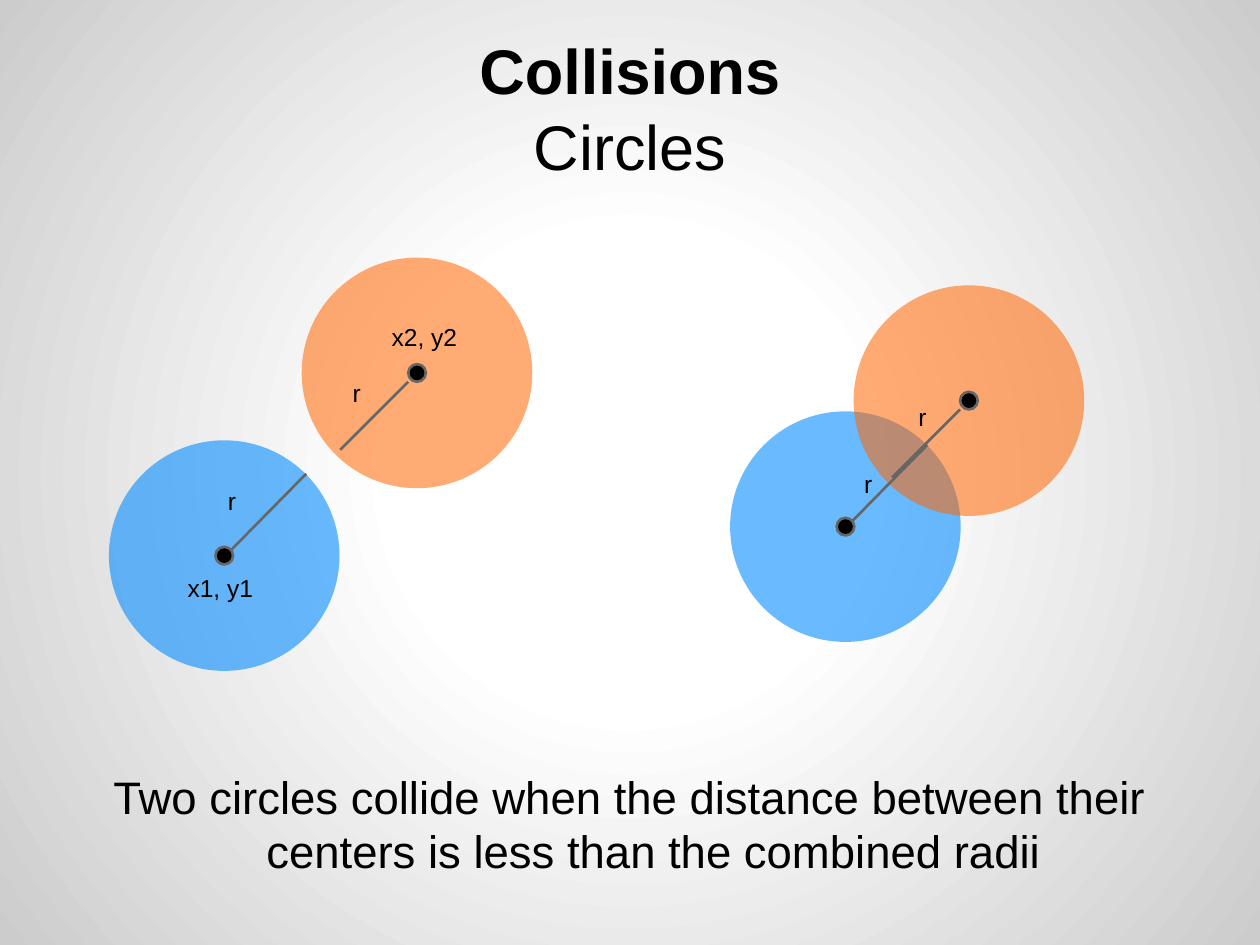
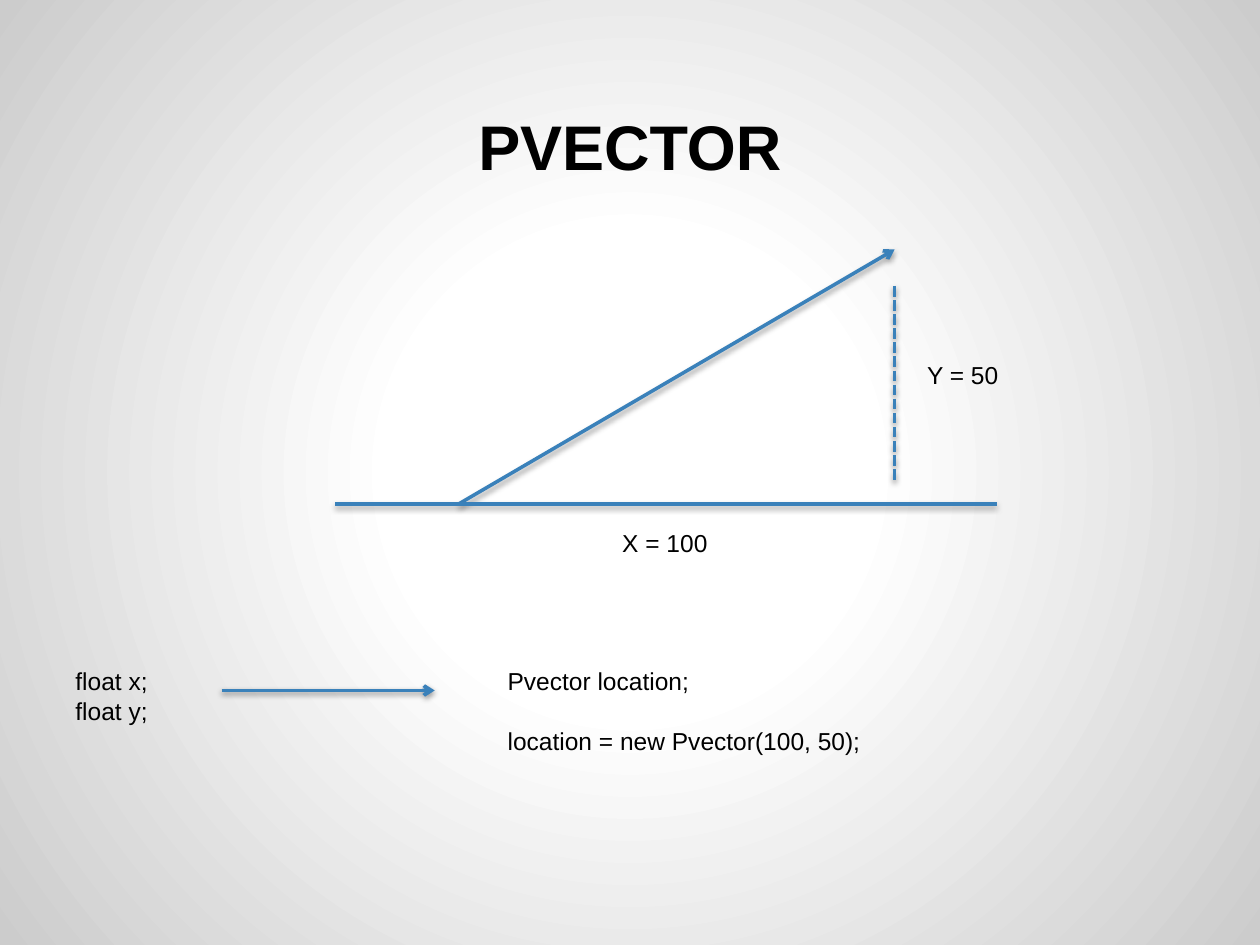
from dataclasses import dataclass, field

from lxml import etree
from pptx import Presentation
from pptx.dml.color import RGBColor
from pptx.enum import dml, shapes, text
from pptx.oxml import parse_xml
from pptx.oxml.ns import nsdecls, qn
from pptx import util as u

COLORS = {
    "ink": "000000", "blue": "058CFF", "orange": "FF6600",
    "gray": "666666", "vector": "3A81BA",
    "center": "FFFFFF", "edge": "CCCCCC",
}
FONT = "Arial"
SLIDE_WIDTH, SLIDE_HEIGHT = u.Inches(10), u.Inches(7.5)
COLUMNS, ROWS = 100, 75
TITLE_AREA = (5, 3, 90, 12.5)
BODY_AREA = (5, 60, 90, 12.6)
DISC_SIZE, DOT_SIZE = 18.3, 1.4


@dataclass
class Label:
    """Text in a grid area; each line is a paragraph."""
    area: tuple[float, float, float, float]
    lines: list[str]
    size: int = 14
    frame: dict = field(default_factory=dict)
    paragraph: dict = field(default_factory=dict)
    bold: bool = False


@dataclass
class Stroke:
    start: tuple[float, float]
    end: tuple[float, float]
    color: str = "vector"
    width: float = 2
    arrow: bool = False
    dashed: bool = False
    shadow: bool = True


@dataclass
class Circle:
    """A disc with a marked center and a radius between two offsets."""
    center: tuple[float, float]
    color: str
    alpha: int
    radius: tuple[tuple[float, float], tuple[float, float]]


def blue_circle(x: float, y: float) -> Circle:
    return Circle((x, y), "blue", 60, ((0.5, -0.4), (6.5, -6.5)))


def orange_circle(x: float, y: float) -> Circle:
    return Circle((x, y), "orange", 55, ((-6.1, 6.1), (-0.7, 0.7)))


CIRCLE_PAIRS = [
    (blue_circle(17.8, 44.1), orange_circle(33.1, 29.6)),
    (blue_circle(67.1, 41.8), orange_circle(76.9, 31.8)),
]
RADIUS_LABELS = [(17.1, 37.6), (27, 29), (67.6, 36.2), (71.9, 30.9)]
CENTER_LABELS = [("x1, y1", 13.9, 44.5), ("x2, y2", 30.1, 24.6)]

VECTOR_STROKES = [
    Stroke((36.4, 40), (71, 19.8), arrow=True),
    Stroke((26.6, 40), (79.1, 40)),
    Stroke((71, 22.7), (71, 38.1), dashed=True),
    Stroke((17.6, 54.8), (34.5, 54.8), arrow=True),
]
EVEN_INSETS = {"margin_top": u.Inches(0.1), "margin_bottom": u.Inches(0.1)}
CODE_FRAME = {"word_wrap": False, "auto_size": text.MSO_AUTO_SIZE.SHAPE_TO_FIT_TEXT}
VECTOR_LABELS = [
    Label((48.4, 41.4, 16.6, 3.4), ["X = 100"]),
    Label((72.6, 28.1, 16.6, 3.4), ["Y = 50"]),
    Label((5, 52.4, 7.8, 5.7), ["float x;", "float y;"], frame=CODE_FRAME),
    Label((39.3, 52.4, 30.9, 8.1),
          ["Pvector location;", "location = new Pvector(100, 50);"],
          frame=CODE_FRAME, paragraph={"space_after": u.Pt(17)}),
]


def rgb(name: str) -> RGBColor:
    return RGBColor.from_string(COLORS[name])


def grid_x(column: float) -> int:
    return round(SLIDE_WIDTH * column / COLUMNS)


def grid_y(row: float) -> int:
    return round(SLIDE_HEIGHT * row / ROWS)


def place(left: float, top: float, width: float, height: float) -> tuple:
    return grid_x(left), grid_y(top), grid_x(width), grid_y(height)


def apply_values(target, values: dict) -> None:
    for name, value in values.items():
        setattr(target, name, value)


def set_background(master) -> None:
    """Give every slide the radial gradient, white up to 30 percent."""
    master.background.fill.gradient()
    gradient = master.element.find(".//" + qn("a:gradFill"))
    stops = "".join(
        f'<a:gs pos="{share * 1000}"><a:srgbClr val="{COLORS[name]}"/></a:gs>'
        for share, name in ((0, "center"), (30, "center"), (100, "edge")))
    gradient.getparent().replace(gradient, parse_xml(
        f'<a:gradFill {nsdecls("a")} rotWithShape="1"><a:gsLst>{stops}</a:gsLst>'
        '<a:path path="circle"><a:fillToRect l="50000" t="50000" r="50000" b="50000"/>'
        '</a:path></a:gradFill>'))


def add_label(page, label: Label):
    box = page.shapes.add_textbox(*place(*label.area))
    frame = box.text_frame
    apply_values(frame, {"word_wrap": True, **label.frame})
    for index, line in enumerate(label.lines):
        para = frame.add_paragraph() if index else frame.paragraphs[0]
        if index < len(label.lines) - 1 or len(label.lines) == 1:
            apply_values(para, label.paragraph)
        add_span(para, line, label.size, label.bold)
    return box


def add_span(para, words: str, size: int, bold: bool = False) -> None:
    span = para.add_run()
    span.text = words
    apply_values(span.font, {"name": FONT, "size": u.Pt(size), "bold": bold})
    span.font.color.rgb = rgb("ink")


def add_title(page, title: str, subtitle: str = "") -> None:
    box = add_label(page, Label(
        TITLE_AREA, [title], 36, bold=True,
        frame={**EVEN_INSETS, "vertical_anchor": text.MSO_ANCHOR.BOTTOM},
        paragraph={"alignment": text.PP_ALIGN.CENTER}))
    if subtitle:
        para = box.text_frame.paragraphs[0]
        para.add_line_break()
        add_span(para, subtitle, 36)


def add_stroke(page, stroke: Stroke) -> None:
    (x1, y1), (x2, y2) = stroke.start, stroke.end
    connector = page.shapes.add_connector(
        shapes.MSO_CONNECTOR.STRAIGHT, grid_x(x1), grid_y(y1), grid_x(x2), grid_y(y2))
    connector.line.color.rgb = rgb(stroke.color)
    connector.line.width = u.Pt(stroke.width)
    if stroke.dashed:
        connector.line.dash_style = dml.MSO_LINE.SQUARE_DOT
    properties = connector.element.spPr
    if stroke.arrow:
        etree.SubElement(properties.find(qn("a:ln")), qn("a:tailEnd"), type="arrow")
    shadow = (
        '<a:outerShdw blurRad="40000" dist="20000" dir="5400000" rotWithShape="0">'
        f'<a:srgbClr val="{COLORS["ink"]}"><a:alpha val="38000"/></a:srgbClr>'
        '</a:outerShdw>') if stroke.shadow else ""
    properties.append(parse_xml(
        f'<a:effectLst {nsdecls("a")}>{shadow}</a:effectLst>'))


def add_ellipse(page, center: tuple[float, float], size: float, color: str):
    x, y = center
    ellipse = page.shapes.add_shape(
        shapes.MSO_SHAPE.OVAL, *place(x - size / 2, y - size / 2, size, size))
    ellipse.shadow.inherit = False
    ellipse.fill.solid()
    ellipse.fill.fore_color.rgb = rgb(color)
    return ellipse


def add_disc(page, circle: Circle) -> None:
    disc = add_ellipse(page, circle.center, DISC_SIZE, circle.color)
    disc.line.fill.background()
    color = disc.element.spPr.find(".//" + qn("a:srgbClr"))
    etree.SubElement(color, qn("a:alpha"), val=str(circle.alpha * 1000))


def add_dot(page, circle: Circle) -> None:
    dot = add_ellipse(page, circle.center, DOT_SIZE, "ink")
    dot.line.color.rgb = rgb("gray")
    dot.line.width = u.Pt(1.5)


def add_radius(page, circle: Circle) -> None:
    x, y = circle.center
    start, end = ((x + dx, y + dy) for dx, dy in circle.radius)
    add_stroke(page, Stroke(start, end, "gray", 1.5, shadow=False))


def build_collisions(page) -> None:
    add_title(page, "Collisions", "Circles")
    body = add_label(page, Label(
        BODY_AREA,
        ["Two circles collide when the distance between their centers "
         "is less than the combined radii"],
        26, EVEN_INSETS, {"alignment": text.PP_ALIGN.CENTER}))
    hanging = u.Inches(0.38)
    settings = body.text_frame.paragraphs[0]._p.get_or_add_pPr()
    settings.set("marL", str(hanging))
    settings.set("indent", str(-hanging))
    for pair in CIRCLE_PAIRS:
        for add_part in (add_disc, add_dot, add_radius):
            for circle in pair:
                add_part(page, circle)
    for left, top in RADIUS_LABELS:
        add_label(page, Label((left, top, 3.2, 4.4), ["r"], frame=EVEN_INSETS))
    for words, left, top in CENTER_LABELS:
        add_label(page, Label((left, top, 7.7, 4.4), [words], frame=EVEN_INSETS))


def build_vector(page) -> None:
    add_title(page, "PVECTOR")
    for stroke in VECTOR_STROKES:
        add_stroke(page, stroke)
    for label in VECTOR_LABELS:
        add_label(page, label)


def main() -> None:
    deck = Presentation()
    deck.slide_width, deck.slide_height = SLIDE_WIDTH, SLIDE_HEIGHT
    set_background(deck.slide_master)
    blank = deck.slide_layouts[6]
    for build in (build_collisions, build_vector):
        build(deck.slides.add_slide(blank))
    deck.save("out.pptx")


if __name__ == "__main__":
    main()
